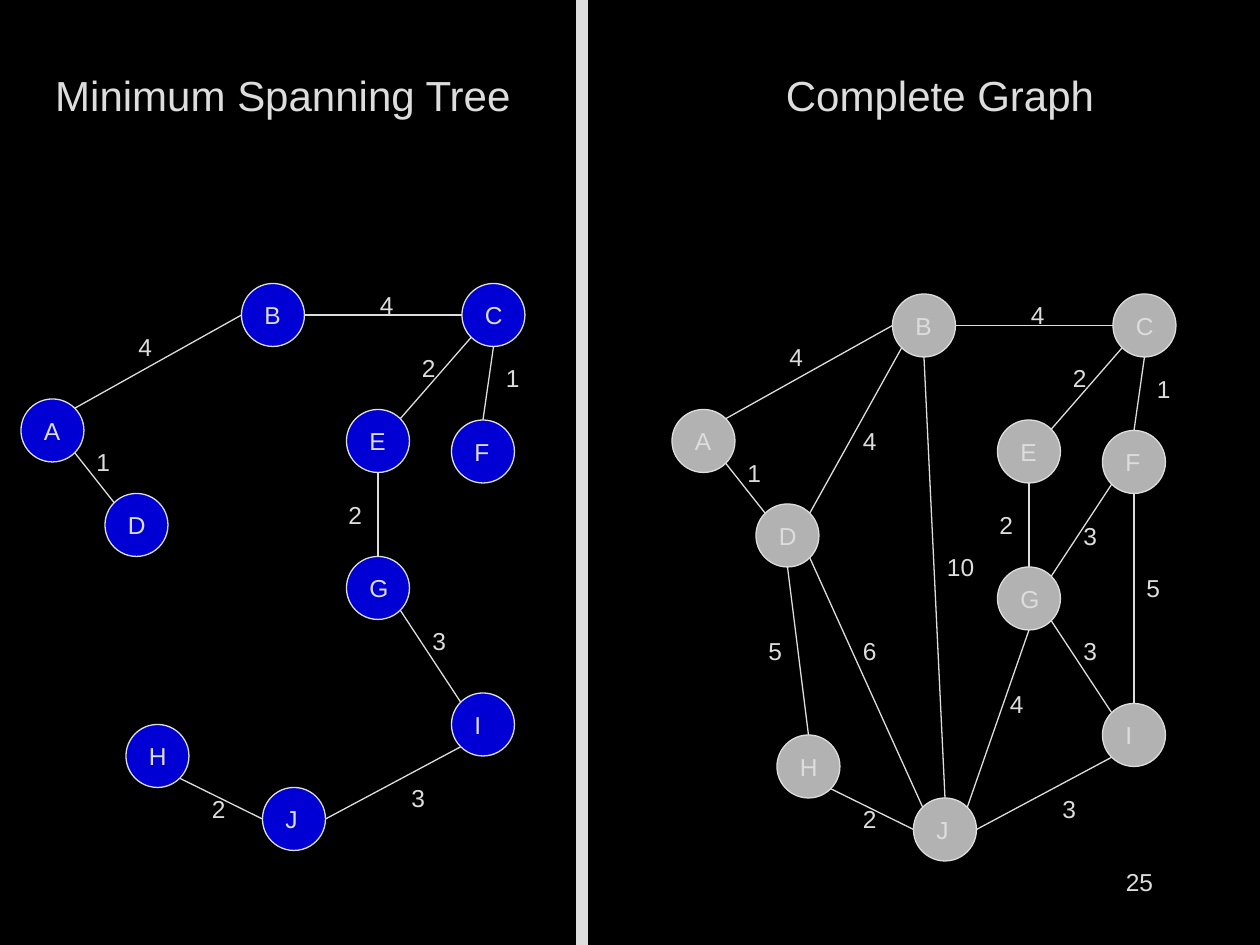
from math import sqrt

from lxml.etree import SubElement
from pptx import Presentation
from pptx.dml.color import RGBColor
from pptx.enum.shapes import MSO_CONNECTOR, MSO_SHAPE
from pptx.enum.text import MSO_AUTO_SIZE as AUTO_SIZE, PP_ALIGN as ALIGN
from pptx.oxml.ns import qn
from pptx.util import Inches, Pt

BLACK = RGBColor(0x00, 0x00, 0x00)
LIGHT = RGBColor(0xDD, 0xDD, 0xDD)
BLUE = RGBColor(0x00, 0x00, 0xD4)
GRAY = RGBColor(0xB2, 0xB2, 0xB2)

# Positions in both graphs count steps of a twelfth of an inch.
STEP = 1 / 12
NODE_SIZE = 6
COMPLETE_OFFSET = (62, 1)

NODES = {
    "A": (2, 38), "B": (23, 27), "C": (44, 27), "D": (10, 47), "E": (33, 39),
    "F": (43, 40), "G": (33, 53), "H": (12, 69), "I": (43, 66), "J": (25, 75),
}

# Start node and side, end node and side, weight, weight position
TREE_EDGES = [
    ("A", "ne", "B", "w", "4", (12, 31)),
    ("A", "se", "D", "nw", "1", (8, 42)),
    ("B", "e", "C", "w", "4", (35, 27)),
    ("C", "sw", "E", "ne", "2", (39, 33)),
    ("C", "s", "F", "n", "1", (47, 34)),
    ("E", "s", "G", "n", "2", (32, 47)),
    ("G", "se", "I", "nw", "3", (40, 59)),
    ("I", "sw", "J", "e", "3", (38, 74)),
    ("H", "se", "J", "w", "2", (19, 75)),
]
OTHER_EDGES = [
    ("B", "sw", "D", "ne", "4", (19, 39)),
    ("B", "s", "J", "n", "10", (27, 51)),
    ("D", "s", "H", "n", "5", (10, 59)),
    ("D", "se", "J", "nw", "6", (19, 59)),
    ("G", "s", "J", "ne", "4", (33, 64)),
    ("F", "sw", "G", "ne", "3", (40, 48)),
    ("F", "s", "I", "n", "5", (46, 53)),
]

# Label widths in inches, where they differ from the usual letter
LETTER_WIDTH = 0.33
LABEL_WIDTHS = {"C": 0.34, "D": 0.34, "F": 0.32, "G": 0.35, "H": 0.34,
                "I": 0.26, "J": 0.3, "10": 0.42}
DIGIT_WIDTH = 0.31


def rim_point(corner, side):
    """Point on a node's circle in the given compass direction, in steps."""
    dx = ("e" in side) - ("w" in side)
    dy = ("s" in side) - ("n" in side)
    radius = NODE_SIZE / 2
    reach = radius / sqrt(dx * dx + dy * dy)
    return corner[0] + radius + dx * reach, corner[1] + radius + dy * reach


class GraphSlide:
    font = "Arial"
    color = LIGHT
    line_width = Pt(0.75)

    def __init__(self, slide):
        self.slide = slide
        background = slide.background.fill
        background.solid()
        background.fore_color.rgb = BLACK

    def shape(self, preset, left, top, width, height, fill):
        shape = self.slide.shapes.add_shape(
            preset, Inches(left), Inches(top), Inches(width), Inches(height))
        shape.shadow.inherit = False
        shape.fill.solid()
        shape.fill.fore_color.rgb = fill
        shape.line.color.rgb = self.color
        shape.line.width = self.line_width

    def line(self, start, end):
        ends = [Inches(value * STEP) for value in (*start, *end)]
        line = self.slide.shapes.add_connector(MSO_CONNECTOR.STRAIGHT, *ends)
        line.line.color.rgb = self.color
        line.line.width = self.line_width
        SubElement(line._element.spPr, qn("a:effectLst"))

    def text(self, words, left, top, width, height, size=14, align=ALIGN.LEFT,
             wrap=True, grow=True, space=0.1):
        """Add a text box; space before is a share of the font size."""
        box = self.slide.shapes.add_textbox(
            Inches(left), Inches(top), Inches(width), Inches(height))
        frame = box.text_frame
        frame.word_wrap = wrap
        frame.auto_size = AUTO_SIZE.SHAPE_TO_FIT_TEXT if grow else AUTO_SIZE.NONE
        paragraph = frame.paragraphs[0]
        paragraph.text = words
        paragraph.alignment = align
        paragraph.space_before = Pt(size * space)
        paragraph.font.name = self.font
        paragraph.font.size = Pt(size)
        paragraph.font.color.rgb = self.color

    def label(self, words, x, y):
        usual = DIGIT_WIDTH if words.isdigit() else LETTER_WIDTH
        self.text(words, x * STEP, y * STEP, LABEL_WIDTHS.get(words, usual),
                  0.34, wrap=False)

    def graph(self, edges, fill, offset=(0, 0)):
        def shifted(point):
            return point[0] + offset[0], point[1] + offset[1]

        corners = {name: shifted(corner) for name, corner in NODES.items()}
        for x, y in corners.values():
            self.shape(MSO_SHAPE.OVAL, x * STEP, y * STEP,
                       NODE_SIZE * STEP, NODE_SIZE * STEP, fill)
        for start, start_side, end, end_side, weight, place in edges:
            self.line(rim_point(corners[start], start_side),
                      rim_point(corners[end], end_side))
            self.label(weight, *shifted(place))
        for name, (x, y) in corners.items():
            self.label(name, x + 1, y + 1)


def main():
    deck = Presentation()
    deck.slide_width, deck.slide_height = Inches(10), Inches(7.5)
    page = GraphSlide(deck.slides.add_slide(deck.slide_layouts[6]))

    page.graph(TREE_EDGES, BLUE)
    page.shape(MSO_SHAPE.RECTANGLE, 4.58, 0, 0.08, 7.5, LIGHT)
    page.graph(TREE_EDGES + OTHER_EDGES, GRAY, COMPLETE_OFFSET)

    page.text("Minimum Spanning Tree", 0.33, 0.5, 3.83, 0.5, 24, ALIGN.CENTER)
    page.text("Complete Graph", 6, 0.5, 2.92, 0.5, 24, ALIGN.CENTER)
    page.text("25", 7.17, 6.83, 2.08, 0.5, align=ALIGN.RIGHT, grow=False, space=0)

    deck.save("out.pptx")


if __name__ == "__main__":
    main()
